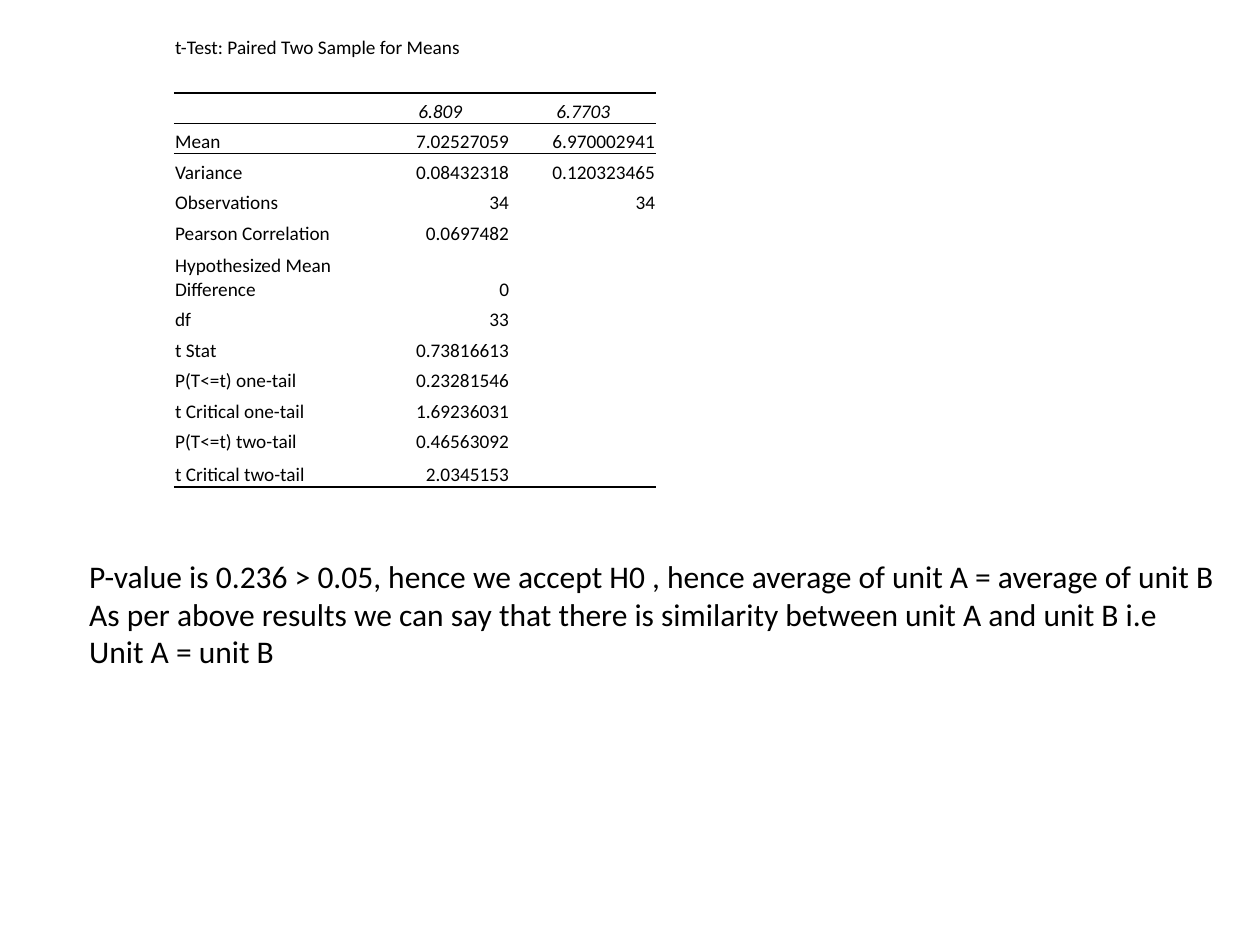
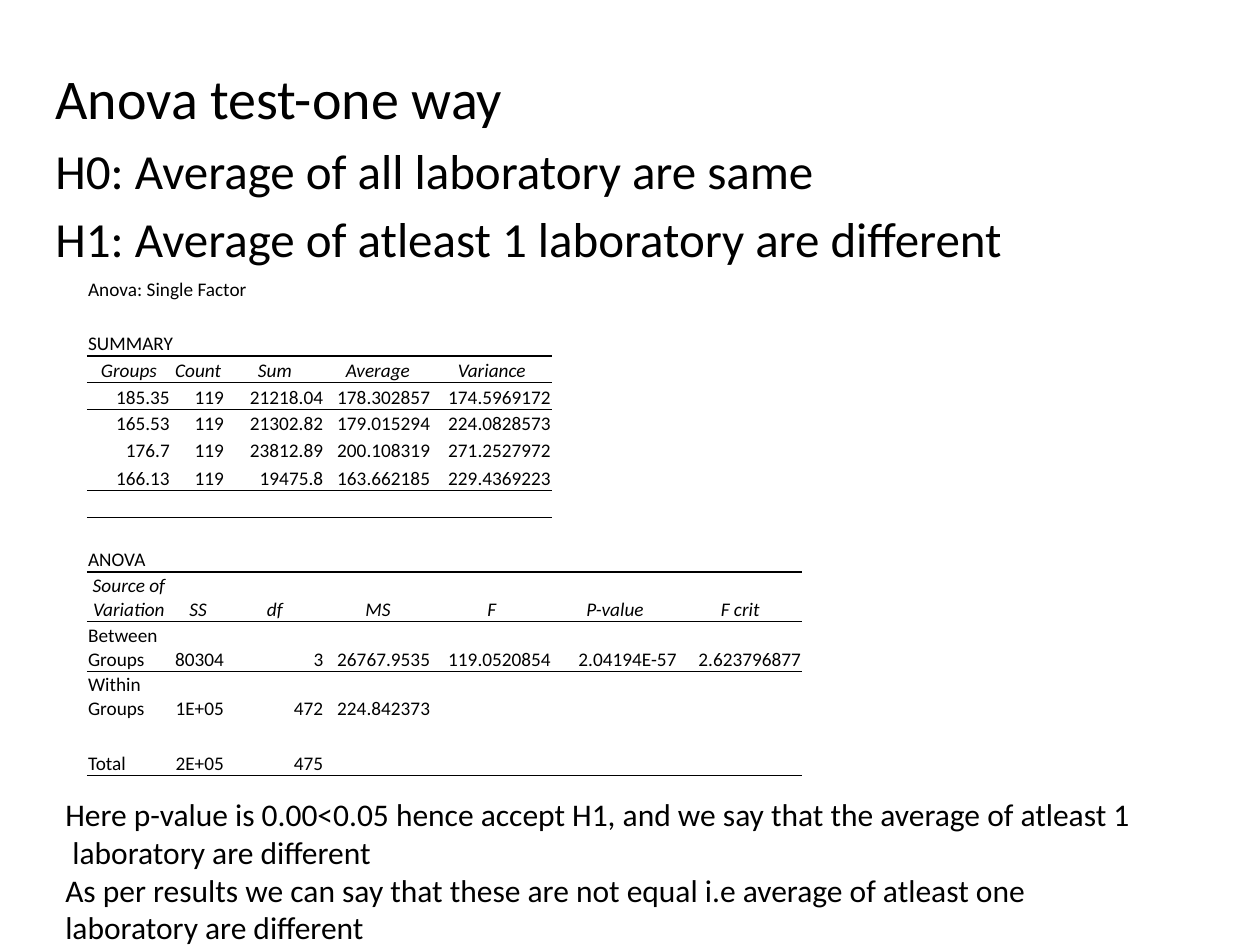
from lxml import etree
from pptx import Presentation, util as u
from pptx.dml.color import RGBColor
from pptx.enum import text as t
from pptx.oxml import ns

WIDE, HIGH = 10, 7.5
FONT = "Calibri"
INK = {"text": "000000", "rule": "000000"}
PLAIN = "{2D5ABB26-0587-4C30-8999-92F81FD0307C}"
THICK, THIN = 1, 0.5
SMALL, BODY = 11, 18
ALIGN = t.PP_ALIGN

# Each row lists its texts from the second column on; the first is a margin.
TTEST = [
    [], ["t-Test: Paired Two Sample for Means"], [],
    ["", "6.809", "6.7703"],
    ["Mean", "7.02527059", "6.970002941"],
    ["Variance", "0.08432318", "0.120323465"],
    ["Observations", "34", "34"],
    ["Pearson Correlation", "0.0697482"],
    ["Hypothesized Mean Difference", "0"],
    ["df", "33"],
    ["t Stat", "0.73816613"],
    ["P(T<=t) one-tail", "0.23281546"],
    ["t Critical one-tail", "1.69236031"],
    ["P(T<=t) two-tail", "0.46563092"],
    ["t Critical two-tail", "2.0345153"],
    [],
]
ANOVA = [
    ["Anova: Single Factor"], [], ["SUMMARY"],
    ["Groups", "Count", "Sum", "Average", "Variance"],
    ["185.35", "119", "21218.04", "178.302857", "174.5969172"],
    ["165.53", "119", "21302.82", "179.015294", "224.0828573"],
    ["176.7", "119", "23812.89", "200.108319", "271.2527972"],
    ["166.13", "119", "19475.8", "163.662185", "229.4369223"],
    [], [], ["ANOVA"],
    ["Source of Variation", "SS", "df", "MS", "F", "P-value", "F crit"],
    ["Between Groups", "80304", "3", "26767.9535", "119.0520854",
     "2.04194E-57", "2.623796877"],
    ["Within Groups", "1E+05", "472", "224.842373"],
    [], ["Total", "2E+05", "475"], [],
]


def put(frame, lines, sizes=(BODY,), italic=False, align=None):
    """Write one paragraph per line; the last size serves the rest."""
    for n, line in enumerate(lines):
        par = frame.paragraphs[0] if n == 0 else frame.add_paragraph()
        if align is not None:
            par.alignment = align
        size = sizes[min(n, len(sizes) - 1)]
        if not line:
            par._p.get_or_add_endParaRPr().set("sz", str(size * 100))
            continue
        run = par.add_run()
        run.text = line
        font = run.font
        font.name, font.size, font.italic = FONT, u.Pt(size), italic
        font.color.rgb = RGBColor.from_string(INK["text"])


def edge(cell, side, width):
    """Draw one border of a cell; side is T or B."""
    line = etree.SubElement(cell._tc.get_or_add_tcPr(), ns.qn("a:ln" + side),
                            w=str(u.Pt(width)))
    fill = etree.SubElement(line, ns.qn("a:solidFill"))
    etree.SubElement(fill, ns.qn("a:srgbClr"), val=INK["rule"])


def rule(tab, row, last, width):
    """Draw a line below a row, from the second column to the last."""
    for col in range(1, last + 1):
        edge(tab.cell(row, col), "B", width)
        edge(tab.cell(row + 1, col), "T", width)


def share(parts, sizes, total):
    """Split a total length among rows or columns in proportion."""
    for part, size in zip(parts, sizes):
        size = u.Inches(total * size / sum(sizes))
        if hasattr(part, "width"):
            part.width = size
        else:
            part.height = size


def grid(slide, data, box, cols, rows, heads, rules, spans):
    """Add a plain table: centred heads, numbers right, labels left."""
    tab = slide.shapes.add_table(len(rows), len(cols),
                                 *map(u.Inches, box)).table
    tab.first_row = tab.horz_banding = False
    tab._tbl.tblPr.find(ns.qn("a:tableStyleId")).text = PLAIN
    share(tab.columns, cols, box[2])
    share(tab.rows, rows, box[3])
    for mark in rules:
        rule(tab, *mark)
    for r, texts in enumerate(data):
        for c in range(len(cols)):
            word = texts[c - 1] if 0 < c <= len(texts) else ""
            cell = tab.cell(r, c)
            cell.fill.background()
            cell.vertical_anchor = t.MSO_ANCHOR.BOTTOM
            cell.margin_left = cell.margin_right = u.Inches(0.01)
            cell.margin_top, cell.margin_bottom = u.Inches(0.01), 0
            align = (ALIGN.CENTER if r in heads else
                     ALIGN.RIGHT if word[:1].isdigit() else ALIGN.LEFT)
            put(cell.text_frame, [word], sizes=(SMALL,), italic=r in heads,
                align=align)
    for r, last in spans:
        tab.cell(r, 1).merge(tab.cell(r, last))


def note(slide, box, lines, wrap=True):
    """Add a text box that grows with its text."""
    frame = slide.shapes.add_textbox(*map(u.Inches, box)).text_frame
    frame.word_wrap = wrap
    frame.auto_size = t.MSO_AUTO_SIZE.SHAPE_TO_FIT_TEXT
    put(frame, lines)


def body(slide, box, lines, sizes):
    """Move and fill the body placeholder, without bullets."""
    title = slide.shapes.title
    title._element.getparent().remove(title._element)
    hold = slide.placeholders[1]
    hold.left, hold.top, hold.width, hold.height = map(u.Inches, box)
    put(hold.text_frame, lines, sizes=sizes)
    for par in hold.text_frame.paragraphs:
        props = par._p.get_or_add_pPr()
        props.set("marL", "0")
        props.set("indent", "0")
        etree.SubElement(props, ns.qn("a:buNone"))


def paired(deck):
    """Build the slide with the paired t-test."""
    slide = deck.slides.add_slide(deck.slide_layouts[6])
    rows = [0.24] * len(TTEST)
    rows[1], rows[2], rows[8], rows[14] = 0.23, 0.26, 0.44, 0.26
    grid(slide, TTEST, (0.48, 0, 4.73, 4.11), [0.9, 1.56, 1.11, 1.16], rows,
         heads=[3], rules=[(2, 3, THICK), (3, 3, THIN), (14, 3, THICK)],
         spans=[(1, 3)])
    note(slide, (0.61, 4.37, 9.7, 1.31), [
        "P-value is 0.236 > 0.05, hence we accept H0 , "
        "hence average of unit A = average of unit B",
        "As per above results we can say that there is similarity "
        "between unit A and unit B i.e",
        "Unit A = unit B"])


def oneway(deck):
    """Build the slide with the one-way analysis of variance."""
    slide = deck.slides.add_slide(deck.slide_layouts[1])
    body(slide, (0.34, 0.45, 9.3, 6.09), [
        "Anova test-one way",
        "H0: Average of all laboratory are same",
        "H1: Average of atleast 1 laboratory are different"], sizes=(32, 28))
    tall, ruled = (11, 12, 13), (2, 7, 10, 15)
    rows = [0.39 if r in tall else 0.22 if r in ruled else 0.21
            for r in range(len(ANOVA))]
    grid(slide, ANOVA, (0.37, 2.18, 6, 4.19),
         [0.32, 0.67, 0.43, 0.79, 0.85, 0.96, 1, 0.99], rows, heads=[3, 11],
         rules=[(2, 5, THICK), (3, 5, THIN), (7, 5, THICK),
                (10, 7, THICK), (11, 7, THIN), (15, 7, THICK)],
         spans=[(0, 3), (2, 2)])
    note(slide, (0.42, 6.26, 8.76, 1.62), [
        "Here p-value is 0.00<0.05 hence accept H1, "
        "and we say that the average of atleast 1",
        " laboratory are different",
        "As per results we can say that these are not equal "
        "i.e average of atleast one ",
        "laboratory are different"], wrap=False)


def main():
    """Build and save the deck."""
    deck = Presentation()
    deck.slide_width, deck.slide_height = u.Inches(WIDE), u.Inches(HIGH)
    paired(deck)
    oneway(deck)
    deck.save("out.pptx")


main()
